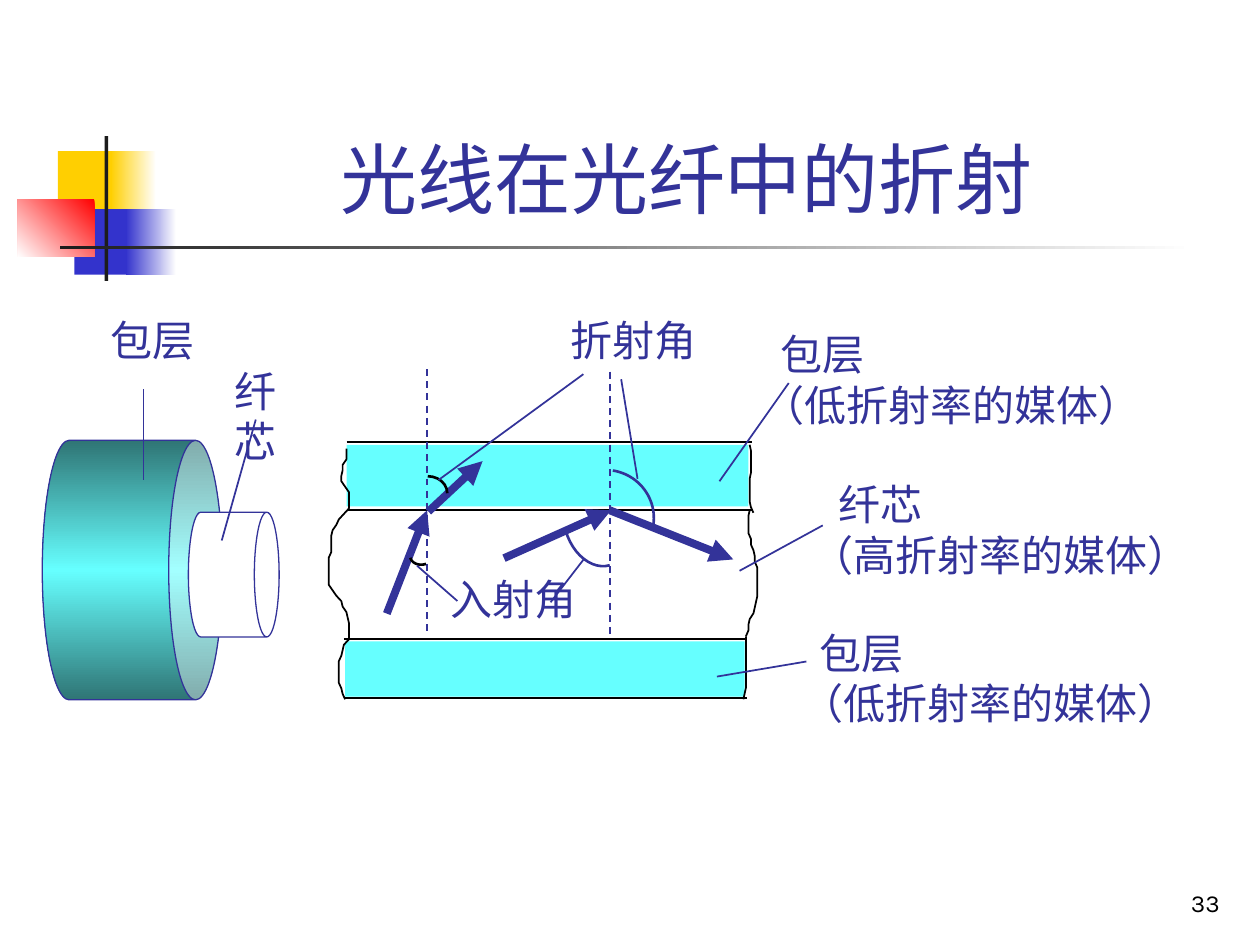
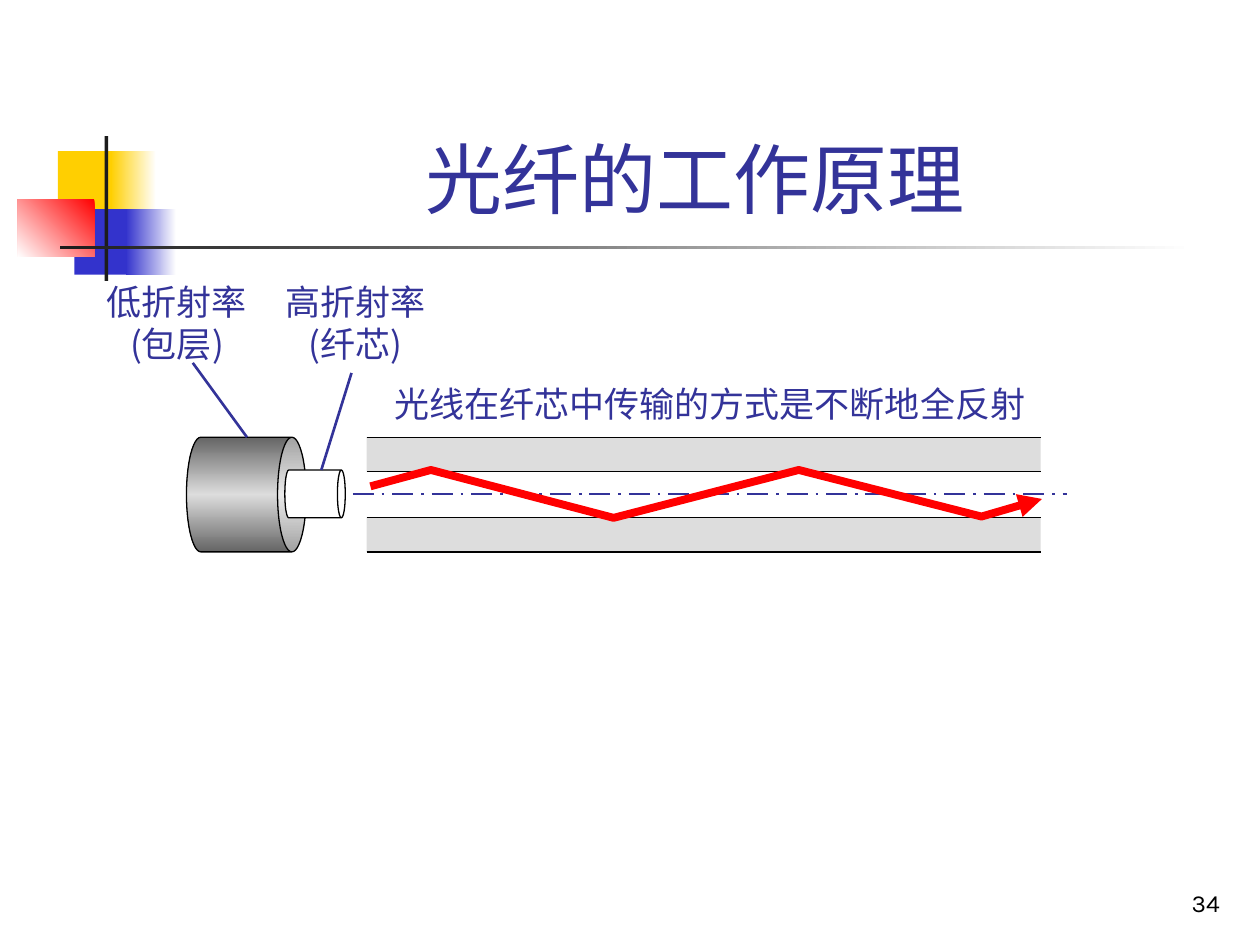
from dataclasses import dataclass

from lxml.etree import SubElement
from pptx import Presentation
from pptx.dml.color import RGBColor
from pptx.enum.dml import MSO_LINE
from pptx.enum.shapes import MSO_CONNECTOR, MSO_SHAPE
from pptx.enum.text import MSO_ANCHOR, MSO_AUTO_SIZE, PP_ALIGN
from pptx.oxml.ns import qn
from pptx.util import Inches, Pt


@dataclass(frozen=True)
class Theme:
    ink: str = "333399"
    black: str = "000000"
    white: str = "FFFFFF"
    yellow: str = "FFCF01"
    blue: str = "3333CC"
    red: str = "FF0000"
    dark: str = "1C1C1C"
    cyan: str = "66FFFF"
    deep_cyan: str = "2F7575"
    gray: str = "DDDDDD"
    deep_gray: str = "656565"
    latin_font: str = "Arial"
    asian_font: str = "Noto Sans CJK SC"
    number_font: str = "Karla"
    title_size: int = 44
    label_size: int = 24
    small_size: int = 20
    number_size: int = 14
    line_height: float = 1.2


def set_attributes(target, values):
    for name, value in values.items():
        setattr(target, name, value)


class SlideBuilder:
    def __init__(self, presentation, theme):
        self.presentation = presentation
        self.theme = theme
        self.slide = None

    # Slide frame: title, corner ornament, page number
    def start(self, title, number):
        theme = self.theme
        layout = self.presentation.slide_layouts[5]
        self.slide = self.presentation.slides.add_slide(layout)
        self.ornament()
        shape = self.slide.shapes.title
        set_attributes(shape, {"left": Inches(1.26), "top": Inches(0.23),
                               "width": Inches(8.52), "height": Inches(1.6)})
        self.fill_text(shape, [title], theme.title_size, align=PP_ALIGN.CENTER,
                       anchor=MSO_ANCHOR.BOTTOM, wrap=True)
        self.text((7.7, 6.83, 2.08, 0.5), [number], theme.number_size,
                  font=theme.number_font, color=theme.black, wrap=True,
                  align=PP_ALIGN.RIGHT, anchor=MSO_ANCHOR.BOTTOM)

    def ornament(self):
        theme = self.theme
        parts = [
            ((0.46, 1.2, 0.48, 0.52), [theme.yellow], 0),
            ((0.88, 1.2, 0.36, 0.52), [theme.white, theme.yellow], 180),
            ((0.59, 1.66, 0.46, 0.52), [theme.blue], 0),
            ((1, 1.66, 0.4, 0.52), [theme.white, theme.blue], 180),
            ((0.14, 1.58, 0.61, 0.46), [theme.red, theme.white], 135),
            ((0.83, 1.08, 0.03, 1.15), [theme.dark], 0),
            ((0.48, 1.95, 9, 0.03), [theme.white, theme.dark], 180),
        ]
        for box, colors, angle in parts:
            self.shape(MSO_SHAPE.RECTANGLE, box, colors, angle)

    # Text
    def fill_text(self, shape, lines, size, font=None, color=None, wrap=False,
                  align=PP_ALIGN.LEFT, anchor=MSO_ANCHOR.TOP, indent=0):
        theme = self.theme
        frame = shape.text_frame
        set_attributes(frame, {"word_wrap": wrap, "vertical_anchor": anchor,
                               "auto_size": MSO_AUTO_SIZE.NONE})
        for index, line in enumerate(lines):
            paragraph = frame.paragraphs[0] if index == 0 else frame.add_paragraph()
            set_attributes(paragraph, {"alignment": align,
                                       "line_spacing": Pt(theme.line_height * size),
                                       "space_before": Pt(0)})
            if indent and index == 0:
                paragraph._p.get_or_add_pPr().set("marL", str(Inches(indent)))
            run = paragraph.add_run()
            run.text = line
            set_attributes(run.font, {"name": font or theme.latin_font, "size": Pt(size)})
            run.font.color.rgb = RGBColor.from_string(color or theme.ink)
            SubElement(run._r.rPr, qn("a:ea"), typeface=theme.asian_font)

    def text(self, box, lines, size, **style):
        shape = self.slide.shapes.add_textbox(*map(Inches, box))
        self.fill_text(shape, lines, size, **style)

    # Filled shapes
    def paint(self, shape, colors, angle):
        if not colors:
            shape.fill.background()
        elif len(colors) == 1:
            shape.fill.solid()
            shape.fill.fore_color.rgb = RGBColor.from_string(colors[0])
        else:
            shape.fill.gradient()
            shape.fill.gradient_angle = 360 - angle
            gradient = shape._element.spPr.find(qn("a:gradFill"))
            gradient.set("rotWithShape", "0")
            stops = gradient.find(qn("a:gsLst"))
            for stop in list(stops):
                stops.remove(stop)
            for index, color in enumerate(colors):
                position = 100000 * index // (len(colors) - 1)
                stop = SubElement(stops, qn("a:gs"), pos=str(position))
                SubElement(stop, qn("a:srgbClr"), val=color)

    def stroke(self, shape, color, width, dash=None, arrow=False):
        shape.line.color.rgb = RGBColor.from_string(color)
        shape.line.width = Pt(width)
        if dash:
            shape.line.dash_style = dash
        if arrow:
            outline = shape._element.spPr.find(qn("a:ln"))
            SubElement(outline, qn("a:tailEnd"), type="triangle")

    def shape(self, kind, box, colors=(), angle=0, line=None, rotation=0):
        shape = self.slide.shapes.add_shape(kind, *map(Inches, box))
        shape.shadow.inherit = False
        shape.rotation = rotation
        self.paint(shape, colors, angle)
        if line:
            self.stroke(shape, *line)
        else:
            shape.line.fill.background()
        return shape

    def cylinder(self, box, colors, depth, line_color):
        shape = self.shape(MSO_SHAPE.CAN, box, colors, 90, (line_color, 0.75), 90)
        shape.adjustments[0] = depth

    def arc(self, box, rotation, color):
        self.shape(MSO_SHAPE.ARC, box, line=(color, 1.5), rotation=rotation)

    # Lines
    def line(self, start, end, color=None, width=1, dash=None, arrow=False):
        connector = self.slide.shapes.add_connector(
            MSO_CONNECTOR.STRAIGHT, *map(Inches, (*start, *end)))
        self.stroke(connector, color or self.theme.ink, width, dash, arrow)
        SubElement(connector._element.spPr, qn("a:effectLst"))

    def polyline(self, points, color, width, arrow=False):
        points = [(Inches(x), Inches(y)) for x, y in points]
        builder = self.slide.shapes.build_freeform(*points[0])
        builder.add_line_segments(points[1:], close=False)
        shape = builder.convert_to_shape()
        shape.shadow.inherit = False
        shape.fill.background()
        self.stroke(shape, color, width, arrow=arrow)

    def torn_edge(self, top, bottom, xs):
        step = (bottom - top) / (len(xs) - 1)
        points = [(x, top + index * step) for index, x in enumerate(xs)]
        self.polyline(points, self.theme.black, 1)


def build_refraction(builder, theme):
    builder.start("光线在光纤中的折射 ", "33")

    # Cladding bands with their border lines
    for left, right, borders, band in [
            (2.75, 5.97, (3.51, 4.05), (2.75, 3.53, 3.19, 0.49)),
            (2.73, 5.93, (5.07, 5.54), (2.74, 5.09, 3.17, 0.44))]:
        for y in borders:
            builder.line((left, y), (right, y), theme.black)
        builder.shape(MSO_SHAPE.RECTANGLE, band, [theme.cyan])

    # Torn ends of the fibre
    builder.torn_edge(3.56, 5.55, [
        *[2.75] * 3, 2.72, 2.72, 2.71, 2.71, 2.74, *[2.77] * 4,
        2.73, 2.69, 2.67, 2.64, *[2.63] * 4, *[2.61] * 6,
        2.64, 2.67, 2.71, 2.72, 2.75, 2.76, *[2.77] * 4,
        2.73, 2.72, 2.71, *[2.69] * 5, 2.71, 2.72, 2.74])
    builder.torn_edge(3.53, 4.07, [5.95, *[5.96] * 5, *[5.95] * 5, 5.96, 5.98])
    builder.torn_edge(4.05, 5.05, [
        5.95, *[5.94] * 4, 5.96, 5.96, 5.98, 5.99, 5.99, *[6.01] * 6,
        6, 5.99, 5.98, 5.95, 5.94, 5.94, 5.92])
    builder.torn_edge(5.05, 5.55, [*[5.92] * 10, 5.91, 5.9])

    # Normals, light rays and angles
    for x, top in [(3.39, 2.93), (4.84, 2.95)]:
        builder.line((x, top), (x, top + 2.12), dash=MSO_LINE.DASH)
    for start, end in [((3.4, 4.06), (3.83, 3.66)), ((3.07, 4.87), (3.39, 4.05)),
                       ((4, 4.43), (4.85, 4.05)), ((4.84, 4.05), (5.82, 4.44))]:
        builder.line(start, end, width=4.5, arrow=True)
    for box, rotation, color in [
            ((3.25, 4.31, 0.21, 0.17), 162, theme.black),
            ((3.24, 3.78, 0.31, 0.27), 0, theme.black),
            ((4.48, 3.78, 0.52, 0.72), 164, theme.ink),
            ((4.42, 3.73, 0.77, 0.76), 9, theme.ink)]:
        builder.arc(box, rotation, color)

    # Fibre end in perspective
    builder.cylinder((0.02, 3.81, 2.06, 1.43),
                     [theme.deep_cyan, theme.cyan, theme.deep_cyan], 0.298, theme.ink)
    builder.cylinder((1.36, 4.2, 0.99, 0.72), [theme.white], 0.273, theme.ink)

    # Labels and their leader lines
    for box, label in [((4.43, 2.45, 1.2, 0.5), "折射角"),
                       ((3.48, 4.5, 1.2, 0.5), "入射角"),
                       ((0.78, 2.45, 0.86, 0.5), "包层")]:
        builder.text(box, [label], theme.label_size)
    builder.text((1.76, 2.85, 0.76, 0.9), ["纤芯"], theme.label_size, wrap=True)
    for left, top, indent, lines in [
            (5.95, 2.56, 0.15, ["包层", "（低折射率的媒体）"]),
            (6.34, 3.75, 0.22, ["纤芯", "（高折射率的媒体）"]),
            (6.26, 4.93, 0.15, ["包层", "（低折射率的媒体）"])]:
        builder.text((left, top, 3.2, 0.9), lines, theme.label_size, indent=indent)
    for start, end in [((4.93, 3.01), (5.06, 3.8)), ((3.48, 3.81), (4.63, 2.97)),
                       ((3.31, 4.49), (3.63, 4.77)), ((4.37, 4.78), (4.64, 4.43)),
                       ((5.87, 4.53), (6.53, 4.17)), ((6.26, 3.04), (5.71, 3.82)),
                       ((6.4, 5.25), (5.69, 5.37)), ((1.14, 3.09), (1.14, 3.81)),
                       ((2.03, 3.33), (1.76, 4.29))]:
        builder.line(start, end)


def build_principle(builder, theme):
    builder.start("光纤的工作原理", "34")
    left, width = 2.91, 5.35

    # Fibre in section
    borders = [3.47, 3.74, 4.11, 4.38]
    fills = [theme.gray, theme.white, theme.gray]
    for top, bottom, fill in zip(borders, borders[1:], fills):
        builder.shape(MSO_SHAPE.RECTANGLE, (left, top, width, bottom - top), [fill])
    for y in borders:
        builder.line((left, y), (left + width, y), theme.black, 0.75)

    # Fibre end in perspective
    builder.cylinder((1.5, 3.45, 0.91, 0.95),
                     [theme.deep_gray, theme.gray, theme.deep_gray], 0.25, theme.black)
    builder.cylinder((2.31, 3.68, 0.38, 0.48), [theme.white], 0.164, theme.black)

    # Axis and reflected ray
    builder.line((2.8, 3.92), (8.47, 3.92), width=1.5, dash=MSO_LINE.LONG_DASH_DOT)
    builder.polyline([(2.94, 3.86), (3.42, 3.73), (4.87, 4.11), (6.34, 3.73),
                      (7.79, 4.1), (8.27, 3.96)], theme.red, 4.5, arrow=True)

    # Labels and their leader lines
    for x, lines in [(2.17, ["高折射率", "(纤芯)"]), (0.75, ["低折射率", "(包层)"])]:
        builder.text((x, 2.18, 1.31, 0.77), lines, theme.small_size,
                     font=theme.asian_font, align=PP_ALIGN.CENTER)
    builder.text((3.03, 2.99, 5.21, 0.44), ["光线在纤芯中传输的方式是不断地全反射"],
                 theme.small_size, font=theme.asian_font)
    for start, end in [((2.79, 2.96), (2.55, 3.73)), ((1.53, 2.88), (1.96, 3.47))]:
        builder.line(start, end, width=1.5)


def main():
    presentation = Presentation()
    presentation.slide_width = Inches(10)
    presentation.slide_height = Inches(7.5)
    theme = Theme()
    builder = SlideBuilder(presentation, theme)
    build_refraction(builder, theme)
    build_principle(builder, theme)
    presentation.save("out.pptx")


if __name__ == "__main__":
    main()
